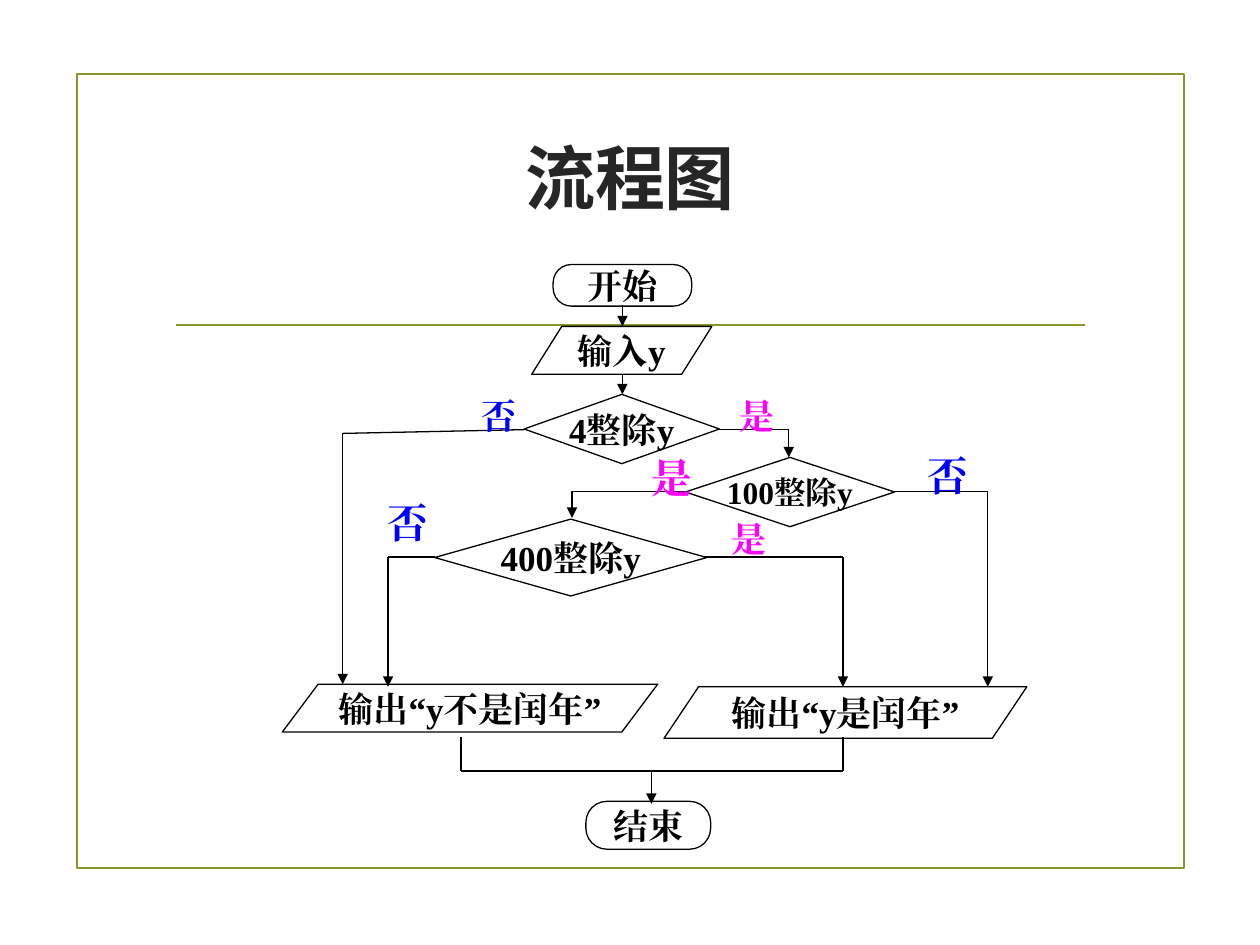
from itertools import pairwise
from pptx import Presentation
from pptx.dml.color import RGBColor
from pptx.enum.shapes import MSO_CONNECTOR, MSO_SHAPE
from pptx.enum.text import MSO_ANCHOR, PP_ALIGN
from pptx.oxml.ns import qn
from pptx.util import Inches, Pt

THEME = {
    "frame": "83992A", "ink": "000000", "title": "262626",
    "yes": "FF00FF", "no": "0000FF",
    "body_font": "Times New Roman", "title_font": "Noto Sans CJK SC",
    "title_size": 40, "node_size": 20, "small_size": 18, "large_size": 23.3,
    "frame_line": 1.25, "flow_line": 0.75,
}

# Shared rows and columns of the chart, in inches
MAIN, NO_4, NO_400, YES_400, NO_100 = 4.94, 2.72, 3.08, 6.69, 7.84
ROW_4, ROW_100, ROW_400, OUTPUT, JOIN = 3.41, 3.9, 4.42, 5.45, 6.12
ASK_100, ASK_400, LEFT_OUT, END = 6.26, 4.54, 3.66, 5.17

START_END, DATA, DECISION = (
    MSO_SHAPE.ROUNDED_RECTANGLE, MSO_SHAPE.PARALLELOGRAM, MSO_SHAPE.DIAMOND)

# Kind, text, (left, top, width, height), corner or slant, type size
NODES = [
    (START_END, "开始", (4.39, 2.1, 1.1, 0.33), 0.44, "node_size"),
    (DATA, "输入y", (4.22, 2.59, 1.43, 0.38), 0.63, "node_size"),
    (DECISION, "100整除y", (5.44, 3.63, 1.66, 0.55), None, "small_size"),
    (DECISION, "400整除y", (3.45, 4.12, 2.16, 0.61), None, "node_size"),
    (DECISION, "4整除y", (4.16, 3.13, 1.55, 0.55), None, "node_size"),
    (START_END, "结束", (4.65, 6.36, 0.99, 0.38), 0.44, "node_size"),
    (DATA, "输出“y是闰年”", (5.27, 5.45, 2.88, 0.41), 0.67, "node_size"),
    (DATA, "输出“y不是闰年”", (2.24, 5.43, 2.98, 0.38), 0.75, "node_size"),
]

# Corner points of each route, and whether it ends in an arrowhead
ROUTES = [
    ([(MAIN, 2.42), (MAIN, 2.59)], True),
    ([(MAIN, 2.97), (MAIN, 3.13)], True),
    ([(4.16, ROW_4), (NO_4, 3.44), (NO_4, 5.43)], True),
    ([(5.71, ROW_4), (ASK_100, ROW_4), (ASK_100, 3.63)], True),
    ([(5.44, ROW_100), (ASK_400, ROW_100), (ASK_400, 4.11)], True),
    ([(7.09, ROW_100), (NO_100, ROW_100), (NO_100, OUTPUT)], True),
    ([(5.59, ROW_400), (YES_400, ROW_400), (YES_400, OUTPUT)], True),
    ([(3.45, ROW_400), (NO_400, ROW_400), (NO_400, OUTPUT)], True),
    ([(LEFT_OUT, 5.85), (LEFT_OUT, JOIN), (YES_400, JOIN), (YES_400, 5.85)], False),
    ([(END, JOIN), (END, 6.38)], True),
]

# Answer, left, top, type size
ANSWERS = [
    ("yes", 5.07, 3.54, "large_size"), ("yes", 5.77, 3.08, "node_size"),
    ("no", 2.98, 3.9, "large_size"), ("no", 7.26, 3.53, "large_size"),
    ("no", 3.72, 3.08, "node_size"), ("yes", 5.71, 4.06, "node_size"),
]
ANSWER_TEXT = {"yes": "是", "no": "否"}
ANSWER_BOX = {"large_size": (0.53, 0.49), "node_size": (0.48, 0.44)}


def color(name):
    return RGBColor.from_string(THEME[name])


def set_line(line, ink, width):
    line.color.rgb = color(ink)
    line.width = Pt(THEME[width])


def write(shape, text, size, ink="ink", font="body_font",
          align=PP_ALIGN.CENTER, anchor=MSO_ANCHOR.MIDDLE, wrap=False):
    frame = shape.text_frame
    frame.text = text
    frame.word_wrap = wrap
    frame.vertical_anchor = anchor
    para = frame.paragraphs[0]
    para.alignment = align
    span = para.runs[0].font
    span.name, span.size, span.bold = THEME[font], Pt(THEME[size]), True
    span.color.rgb = color(ink)
    east_asian = para.runs[0]._r.rPr.makeelement(qn("a:ea"), {"typeface": THEME[font]})
    span._element.find(qn("a:latin")).addnext(east_asian)


def add_outline(page, kind, place, ink, width):
    shape = page.shapes.add_shape(kind, *map(Inches, place))
    shape.shadow.inherit = False
    shape.fill.background()
    set_line(shape.line, ink, width)
    return shape


def add_line(page, start, end, ink="ink", width="flow_line", arrow=False):
    line = page.shapes.add_connector(
        MSO_CONNECTOR.STRAIGHT, *map(Inches, (*start, *end)))
    set_line(line.line, ink, width)
    properties = line._element.spPr
    if arrow:
        outline = properties.find(qn("a:ln"))
        outline.append(outline.makeelement(qn("a:tailEnd"), {"type": "triangle"}))
    properties.append(properties.makeelement(qn("a:effectLst"), {}))


deck = Presentation()
deck.slide_width, deck.slide_height = Inches(10), Inches(7.5)
page = deck.slides.add_slide(deck.slide_layouts[6])

# Frame and rule
add_outline(page, MSO_SHAPE.RECTANGLE, (0.61, 0.59, 8.79, 6.3), "frame", "frame_line")
add_line(page, (1.4, 2.58), (8.61, 2.58), "frame", "frame_line")

# Steps
for kind, text, place, adjustment, size in NODES:
    node = add_outline(page, kind, place, "ink", "flow_line")
    if adjustment is not None:
        node.adjustments[0] = adjustment
    write(node, text, size)

# Routes
for points, arrow in ROUTES:
    for start, end in pairwise(points):
        add_line(page, start, end, arrow=arrow and end == points[-1])

# Answers
for answer, left, top, size in ANSWERS:
    box = page.shapes.add_textbox(*map(Inches, (left, top, *ANSWER_BOX[size])))
    write(box, ANSWER_TEXT[answer], size, answer,
          align=PP_ALIGN.LEFT, anchor=MSO_ANCHOR.TOP)

# Title
title = page.shapes.add_textbox(*map(Inches, (0.5, 0.88, 9, 1.04)))
write(title, "流程图", "title_size", "title", "title_font", wrap=True)

deck.save("out.pptx")
